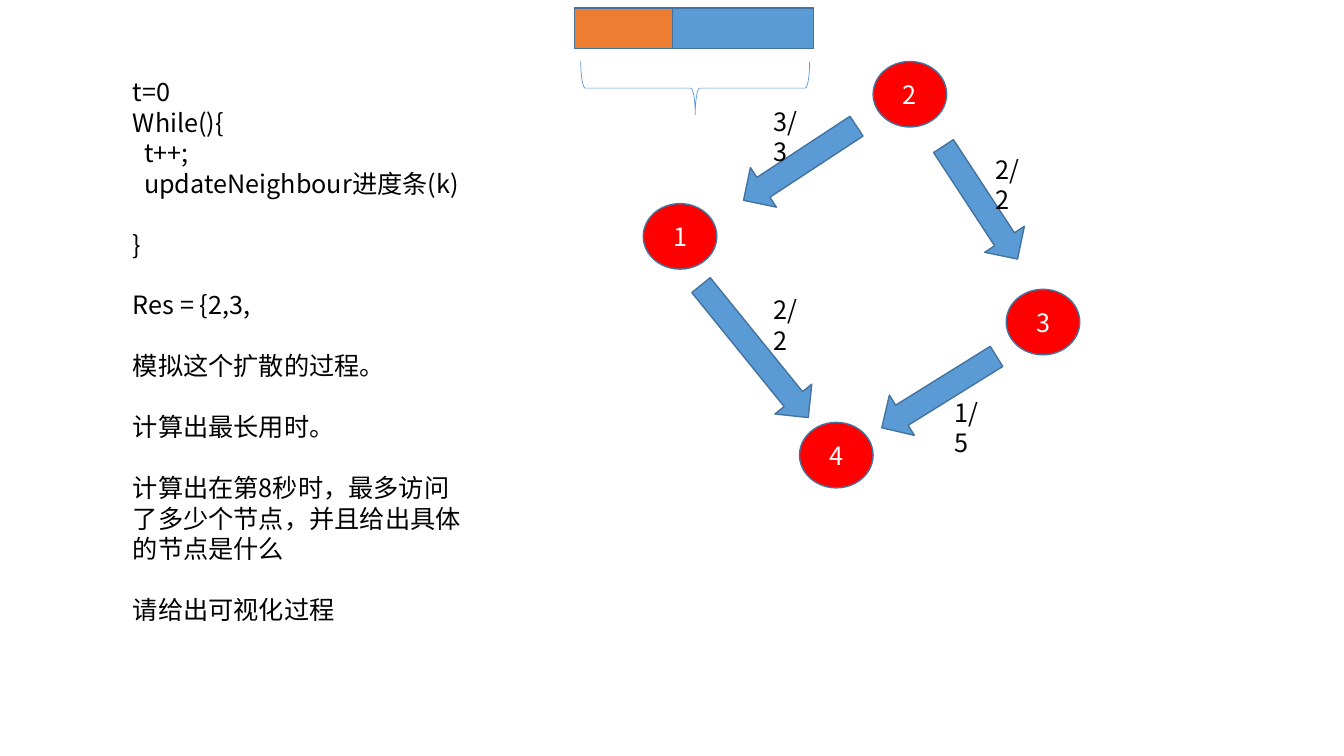
import pptx
import pptx.util
import pptx.dml.color
import pptx.enum.shapes
import pptx.enum.text
import lxml.etree

Inches = pptx.util.Inches
Pt = pptx.util.Pt
SHAPES = pptx.enum.shapes.MSO_SHAPE
COLOURS = {
    "node": "FF0000",
    "blue": "5B9BD5",
    "orange": "ED7D31",
    "outline": "43739E",
    "white": "FFFFFF",
    "text": "000000",
}
FONT = "Noto Sans CJK SC"
LINE_HEIGHT = Pt(21.75)
FIRST_LINE_INDENT = Inches(0.11)

NODE_SIZE = (0.73, 0.65)
NODES = [("2", 2.28, 0), ("1", 0, 1.41), ("3", 3.6, 2.26), ("4", 1.55, 3.58)]
ARROW_WIDTH = 0.47
ARROWS = [
    (1.32, 0.34, 1.34, 56.7),
    (3.11, 0.73, 1.34, 326.8),
    (2.7, 2.61, 1.34, 58.1),
    (0.87, 2.03, 1.69, 321),
]
LABELS = [("3/3", 1.19, 0.39), ("2/2", 3.4, 0.87), ("1/5", 2.99, 3.28), ("2/2", 1.19, 2.26)]
NOTES = [
    ("t=0", False, False),
    ("While(){", False, False),
    ("t++;", True, False),
    ("updateNeighbour进度条(k)", True, False),
    ("}", False, True),
    ("Res = {2,3,", False, True),
    ("模拟这个扩散的过程。", False, True),
    ("计算出最长用时。", False, True),
    ("计算出在第8秒时，最多访问了多少个节点，并且给出具体的节点是什么", False, True),
    ("请给出可视化过程", False, True),
]


def colour(name):
    return pptx.dml.color.RGBColor.from_string(COLOURS[name])


def write(paragraph, text, colour_name):
    run = paragraph.add_run()
    run.text = text
    run.font.name = FONT
    run.font.size = Pt(18)
    run.font.color.rgb = colour(colour_name)
    properties = run.font._element
    east_asian = lxml.etree.SubElement(properties, pptx.oxml.ns.qn("a:ea"))
    east_asian.set("typeface", FONT)


def add_shape(slide, kind, box, fill, line="outline", line_width=1):
    shape = slide.shapes.add_shape(kind, *map(Inches, box))
    shape.shadow.inherit = False
    if fill:
        shape.fill.solid()
        shape.fill.fore_color.rgb = colour(fill)
    else:
        shape.fill.background()
    shape.line.color.rgb = colour(line)
    shape.line.width = Pt(line_width)
    return shape


def add_text_frame(slide, box):
    frame = slide.shapes.add_textbox(*map(Inches, box)).text_frame
    frame.word_wrap = True
    return frame


def add_graph(slide, left, top):
    for name, x, y in NODES:
        node = add_shape(slide, SHAPES.OVAL, (left + x, top + y, *NODE_SIZE), "node")
        node.text_frame.vertical_anchor = pptx.enum.text.MSO_ANCHOR.MIDDLE
        paragraph = node.text_frame.paragraphs[0]
        paragraph.alignment = pptx.enum.text.PP_ALIGN.CENTER
        write(paragraph, name, "white")
    for x, y, length, rotation in ARROWS:
        arrow = add_shape(
            slide, SHAPES.DOWN_ARROW, (left + x, top + y, ARROW_WIDTH, length), "blue")
        arrow.rotation = rotation
    for text, x, y in LABELS:
        frame = add_text_frame(slide, (left + x, top + y, 0.56, 0.4))
        paragraph = frame.paragraphs[0]
        paragraph.line_spacing = LINE_HEIGHT
        write(paragraph, text, "text")


def add_notes(slide, left, top, width, height):
    frame = add_text_frame(slide, (left, top, width, height))
    for index, (text, indented, gap_above) in enumerate(NOTES):
        paragraph = frame.add_paragraph() if index else frame.paragraphs[0]
        paragraph.line_spacing = LINE_HEIGHT
        if gap_above:
            paragraph.space_before = LINE_HEIGHT
        if indented:
            properties = paragraph._p.get_or_add_pPr()
            properties.set("marL", "0")
            properties.set("indent", str(FIRST_LINE_INDENT))
        write(paragraph, text, "text")


def add_progress_bar(slide, left, top, width, height):
    add_shape(slide, SHAPES.RECTANGLE, (left, top, width, height), "blue")
    add_shape(slide, SHAPES.RECTANGLE, (left, top, 0.97, height), "orange")
    brace = add_shape(
        slide, SHAPES.RIGHT_BRACE, (left + 0.93, top - 0.34, 0.53, 2.27), None, "blue", 0.5)
    brace.rotation = 90


def main():
    presentation = pptx.Presentation()
    presentation.slide_width = Inches(13.33)
    presentation.slide_height = Inches(7.5)
    slide = presentation.slides.add_slide(presentation.slide_layouts[6])
    add_graph(slide, 6.38, 0.61)
    add_notes(slide, 1.22, 0.71, 3.51, 5.86)
    add_progress_bar(slide, 5.7, 0.08, 2.37, 0.4)
    presentation.save("out.pptx")


if __name__ == "__main__":
    main()
